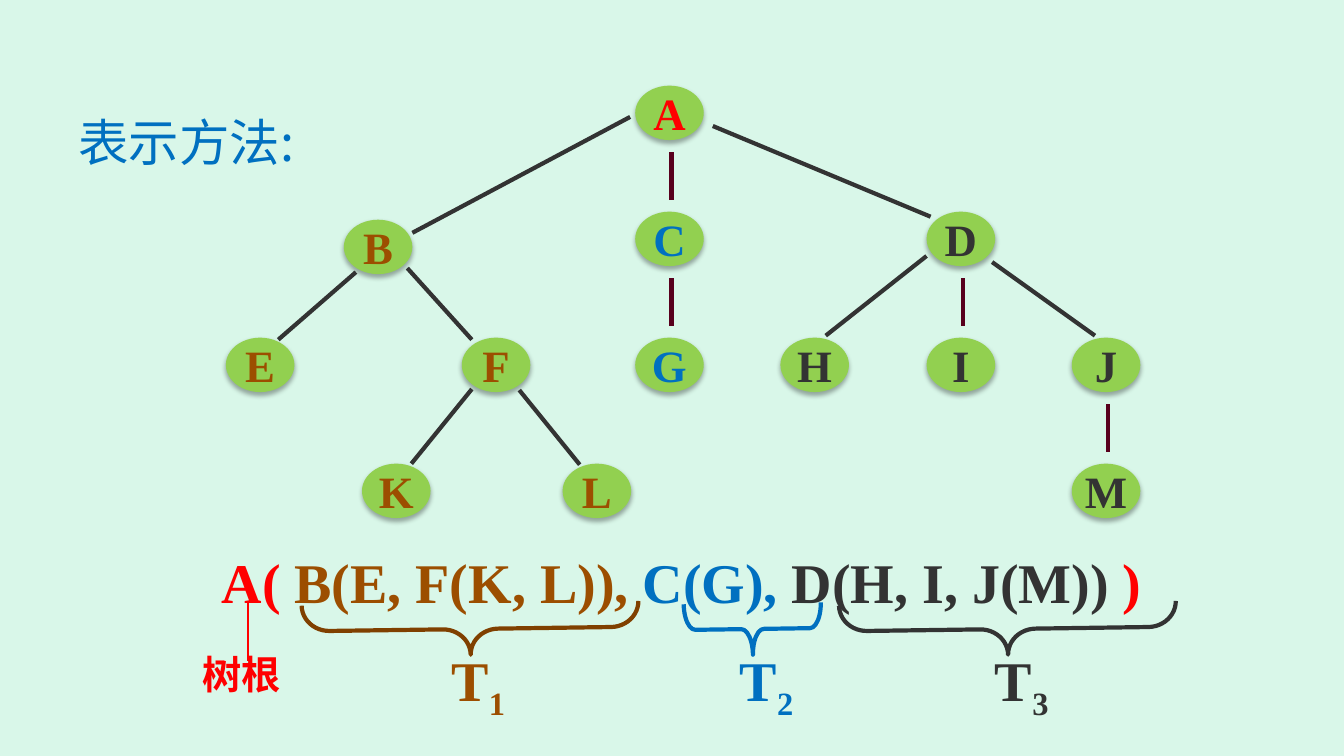
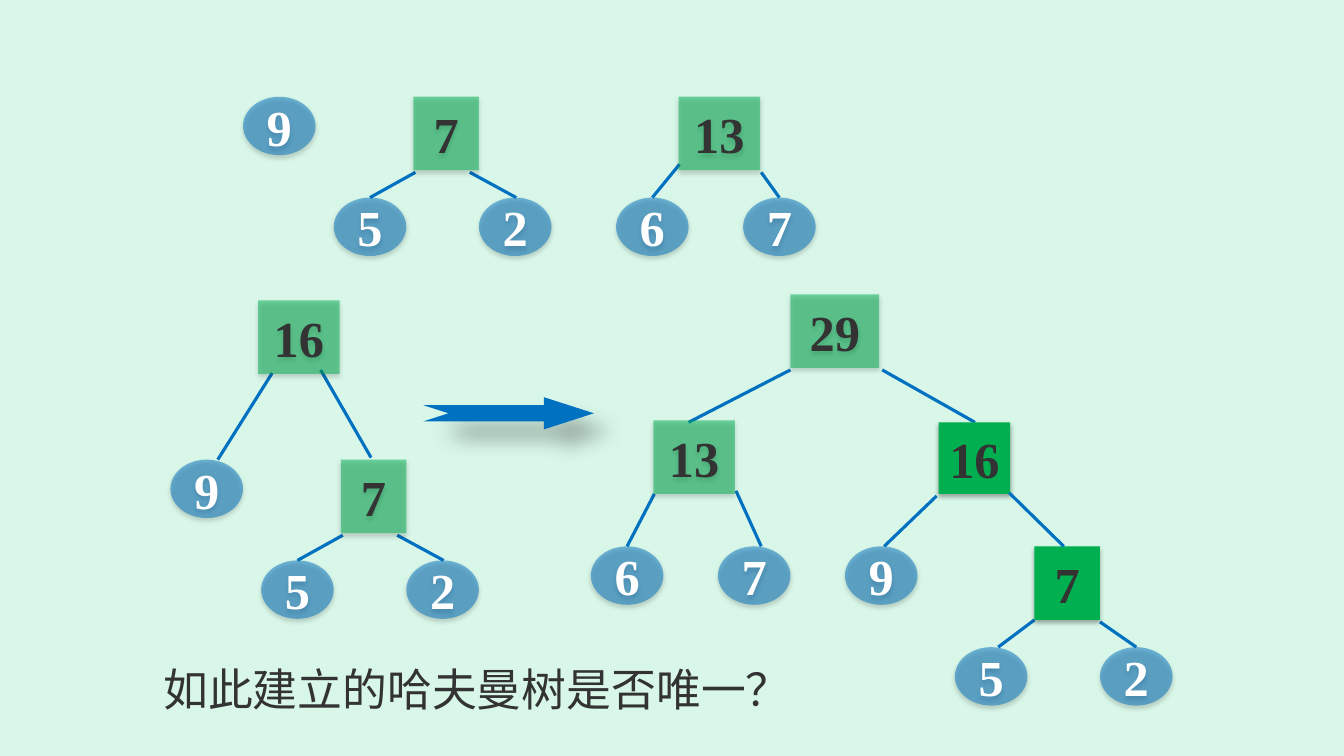
from dataclasses import dataclass

from lxml.etree import SubElement
from pptx import Presentation
from pptx.dml.color import RGBColor
from pptx.enum.shapes import MSO_CONNECTOR, MSO_SHAPE
from pptx.enum.text import MSO_ANCHOR, PP_ALIGN
from pptx.oxml.ns import qn
from pptx.util import Emu, Pt

SCALE = 9144  # EMU in one px, 100 px to the inch


@dataclass(frozen=True)
class Theme:
    background: str = "D9F7E9"
    leaf_green: str = "92D050"
    square_green: str = "00B050"
    blue: str = "0070C0"
    brown: str = "9C4E00"
    brace_brown: str = "804000"
    dark: str = "333333"
    maroon: str = "58001D"
    red: str = "FF0000"
    white: str = "FFFFFF"
    latin: str = "Times New Roman"
    chinese: str = "Noto Sans CJK SC"
    letter_size: int = 32
    number_size: int = 36
    formula_size: int = 40
    heading_size: int = 36
    question_size: int = 32
    root_size: int = 28
    # opacity %, blur pt, distance pt, direction in degrees
    node_shadow: tuple = (32, 3.5, 2.2, 90)
    arrow_shadow: tuple = (30, 15, 18, 45)


THEME = Theme()


def px(length):
    return Emu(round(length * SCALE))


def rgb(code):
    return RGBColor.from_string(code)


# ---- shared parts ----
def new_page(deck):
    page = deck.slides.add_slide(deck.slide_layouts[6])
    page.background.fill.solid()
    page.background.fill.fore_color.rgb = rgb(THEME.background)
    return page


def add_span(para, text, *, size, color, font=THEME.latin, bold=True, subscript=False):
    span = para.add_run()
    span.text = text
    span.font.size = Pt(size)
    span.font.bold = bold
    span.font.name = font
    span.font.color.rgb = rgb(color)
    properties = span._r.get_or_add_rPr()
    SubElement(properties, qn("a:ea")).set("typeface", font)
    if subscript:
        properties.set("baseline", "-25000")


def add_text(page, box, spans, **style):
    """Place one line of text; each span is (text, own format)."""
    frame = page.shapes.add_textbox(*map(px, box)).text_frame
    frame.word_wrap = True
    frame.vertical_anchor = MSO_ANCHOR.MIDDLE
    for text, own in spans:
        add_span(frame.paragraphs[0], text, **{**style, **own})


def add_line(page, start, end, *, color, width):
    line = page.shapes.add_connector(
        MSO_CONNECTOR.STRAIGHT, *map(px, (*start, *end)))
    line.line.color.rgb = rgb(color)
    line.line.width = Pt(width)
    SubElement(line._element.spPr, qn("a:effectLst"))


def add_figure(page, kind, box, *, fill=None, opacity=100, shadow=None):
    figure = page.shapes.add_shape(kind, *map(px, box))
    figure.line.fill.background()
    figure.shadow.inherit = False
    if fill is None:
        figure.fill.background()
    else:
        figure.fill.solid()
        figure.fill.fore_color.rgb = rgb(fill)
    if opacity < 100:
        color = figure._element.spPr.find(qn("a:solidFill"))[0]
        SubElement(color, qn("a:alpha")).set("val", str(opacity * 1000))
    if shadow:
        strength, blur, distance, angle = shadow
        effects = figure._element.spPr.find(qn("a:effectLst"))
        outer = SubElement(
            effects, qn("a:outerShdw"), blurRad=str(Pt(blur)),
            dist=str(Pt(distance)), dir=str(angle * 60000),
            algn="ctr", rotWithShape="0")
        black = SubElement(outer, qn("a:srgbClr"), val="000000")
        SubElement(black, qn("a:alpha"), val=str(strength * 1000))
    return figure


def add_node(page, kind, box, text, *, size, color, **look):
    figure = add_figure(page, kind, box, shadow=THEME.node_shadow, **look)
    frame = figure.text_frame
    frame.word_wrap = False
    frame.vertical_anchor = MSO_ANCHOR.MIDDLE
    para = frame.paragraphs[0]
    para.alignment = PP_ALIGN.CENTER
    add_span(para, text, size=size, color=color)


def add_edges(page, left, top, edges, **look):
    for x1, y1, x2, y2 in edges:
        add_line(page, (left + x1, top + y1), (left + x2, top + y2), **look)


# ---- page 1: a tree and its bracket notation ----
LEVEL = 125
LETTERS = {  # letter: (x, y, colour)
    "A": (406, 0, THEME.red),
    "B": (117, 133, THEME.brown),
    "C": (406, LEVEL, THEME.blue),
    "D": (695, LEVEL, THEME.dark),
    "E": (0, 2 * LEVEL, THEME.brown),
    "F": (234, 2 * LEVEL, THEME.brown),
    "G": (406, 2 * LEVEL, THEME.blue),
    "H": (550, 2 * LEVEL, THEME.dark),
    "I": (695, 2 * LEVEL, THEME.dark),
    "J": (839, 2 * LEVEL, THEME.dark),
    "K": (135, 3 * LEVEL, THEME.brown),
    "L": (334, 3 * LEVEL, THEME.brown),
    "M": (839, 3 * LEVEL, THEME.dark),
}
BRANCHES = (
    (401, 31, 185, 146), (483, 40, 699, 130),
    (129, 185, 52, 252), (180, 181, 244, 252),
    (244, 301, 184, 375), (291, 302, 351, 376),
    (695, 169, 595, 248), (760, 175, 862, 248),
)


def draw_letter_tree(page, left, top):
    for letter, (x, y, color) in LETTERS.items():
        add_node(page, MSO_SHAPE.OVAL, (left + x, top + y, 68, 54), letter,
                 size=THEME.letter_size, color=color, fill=THEME.leaf_green)
    # Straight links below a parent
    stems = [(x + 36, y + 66, x + 36, y + 113)
             for x, y, _ in map(LETTERS.get, "ACDJ")]
    add_edges(page, left, top, stems, color=THEME.maroon, width=3)
    add_edges(page, left, top, BRANCHES, color=THEME.dark, width=3)


def draw_notation(page, left, top):
    formula = (("A( ", THEME.red), ("B(E, F(K, L)), ", THEME.brown),
               ("C(G), ", THEME.blue), ("D(H, I, J(M)) ", THEME.dark),
               (")", THEME.red))
    add_text(page, (left + 19, top, 960, 77),
             [(text, {"color": color}) for text, color in formula],
             size=THEME.formula_size)
    # Braces with the subtree names: centre, span, bend, label x, colours
    groups = (
        (276, 334, 0.54, 247, THEME.brace_brown, THEME.brown),
        (556, 136, 0.22, 533, THEME.blue, THEME.blue),
        (809, 334, 0.54, 786, THEME.dark, THEME.dark),
    )
    for number, group in enumerate(groups, 1):
        centre, span, bend, label, stroke, color = group
        brace = add_figure(
            page, MSO_SHAPE.LEFT_BRACE,
            (left + centre - 26, top + 86 - span // 2, 51, span))
        brace.rotation = 269.2
        brace.adjustments[0] = bend
        brace.adjustments[1] = 0.5
        brace.line.color.rgb = rgb(stroke)
        brace.line.width = Pt(3)
        add_text(page, (left + label, top + 102, 97, 77),
                 (("T", {}), (str(number), {"subscript": True})),
                 size=THEME.formula_size, color=color)
    # Root marker
    add_line(page, (left + 55, top + 60), (left + 55, top + 118),
             color=THEME.red, width=1.5)
    add_text(page, (left, top + 102, 110, 57), [("树根", {})],
             size=THEME.root_size, color=THEME.red, font=THEME.chinese)


def build_notation_page(deck):
    page = new_page(deck)
    draw_letter_tree(page, 224, 85)
    draw_notation(page, 191, 538)
    add_text(page, (68, 105, 260, 71), [("表示方法:", {})], bold=False,
             size=THEME.heading_size, color=THEME.blue, font=THEME.chinese)


# ---- page 2: merging Huffman trees ----
SEVEN_EDGES = ((81, 75, 36, 100), (135, 75, 181, 100))


def add_circle(page, left, top, text):
    add_node(page, MSO_SHAPE.OVAL, (left, top, 72, 58), text,
             size=THEME.number_size, color=THEME.white,
             fill=THEME.blue, opacity=50)


def add_square(page, box, text, opacity=50):
    add_node(page, MSO_SHAPE.RECTANGLE, box, text,
             size=THEME.number_size, color=THEME.dark,
             fill=THEME.square_green, opacity=opacity)


def add_links(page, left, top, edges):
    add_edges(page, left, top, edges, color=THEME.blue, width=2.25)


def draw_pair(page, box, root, leaves, edges, opacity=50):
    """A square root over two circles at the lower corners of the box."""
    left, top, width, height = box
    side = 81 if len(root) > 1 else 65
    for x, leaf in zip((left, left + width - 72), leaves):
        add_circle(page, x, top + height - 58, leaf)
    add_links(page, left, top, edges)
    add_square(page, (left + (width - side) // 2 + 4, top, side, 73),
               root, opacity)


def draw_first_row(page, left, top):
    add_circle(page, left, top, "9")
    draw_pair(page, (left + 90, top, 216, 158), "7", "52", SEVEN_EDGES)
    draw_pair(page, (left + 370, top, 198, 158), "13", "67",
              ((63, 67, 36, 100), (144, 75, 162, 100)))


def draw_sixteen_tree(page, left, top):
    add_links(page, left, top, ((199, 156, 149, 69), (47, 158, 101, 72)))
    add_circle(page, left, top + 158, "9")
    draw_pair(page, (left + 90, top + 158, 216, 158), "7", "52", SEVEN_EDGES)
    add_square(page, (left + 87, top, 81, 73), "16")


def draw_final_tree(page, left, top):
    add_links(page, left, top, ((289, 75, 381, 127), (198, 75, 97, 127)))
    draw_pair(page, (left, top + 125, 198, 183), "13", "67",
              ((63, 73, 36, 125), (144, 70, 169, 125)))
    add_square(page, (left + 198, top, 88, 73), "29")
    add_circle(page, left + 252, top + 250, "9")
    draw_pair(page, (left + 361, top + 350 - 100, 216, 158), "7", "52",
              ((79, 73, 43, 100), (144, 75, 180, 100)), opacity=100)
    add_square(page, (left + 345, top + 127, 71, 71), "16", opacity=100)
    add_links(page, left, top, ((343, 200, 291, 250), (415, 197, 469, 250)))


def build_huffman_page(deck):
    page = new_page(deck)
    draw_first_row(page, 241, 96)
    draw_sixteen_tree(page, 169, 298)
    draw_final_tree(page, 586, 292)
    arrow = add_figure(page, MSO_SHAPE.NOTCHED_RIGHT_ARROW,
                       (420, 394, 169, 32), fill=THEME.blue,
                       shadow=THEME.arrow_shadow)
    arrow.adjustments[0] = 0.5
    arrow.adjustments[1] = 1.55
    add_text(page, (152, 652, 658, 63), [("如此建立的哈夫曼树是否唯一？", {})],
             size=THEME.question_size, color=THEME.dark,
             font=THEME.chinese, bold=False)


def main():
    deck = Presentation()
    deck.slide_width, deck.slide_height = px(1333), px(750)
    build_notation_page(deck)
    build_huffman_page(deck)
    deck.save("out.pptx")


if __name__ == "__main__":
    main()
